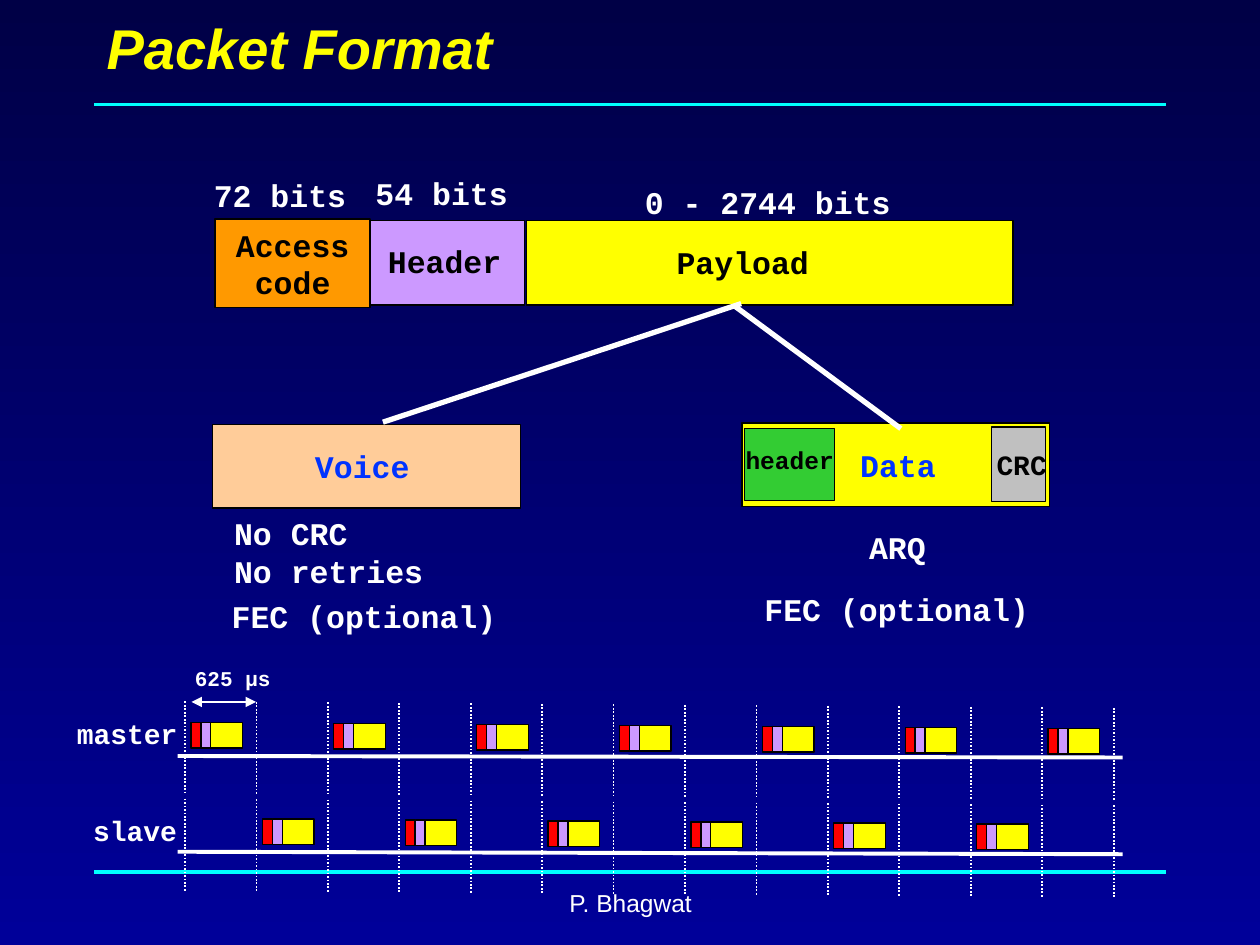
"""Builds the packet format slide: packet fields, payload types and slot timing."""
import pptx
import pptx.dml.color
import pptx.enum.dml
import pptx.enum.shapes
import pptx.enum.text
import pptx.oxml.ns
import pptx.util
from lxml import etree

Cm = pptx.util.Cm
Pt = pptx.util.Pt
RGB = pptx.dml.color.RGBColor.from_string
ALIGN = pptx.enum.text.PP_ALIGN
ANCHOR = pptx.enum.text.MSO_ANCHOR
DOT = pptx.enum.dml.MSO_LINE.ROUND_DOT
qn = pptx.oxml.ns.qn

COLORS = {
    "top": "000046", "bottom": "000099", "cyan": "00FFFF", "white": "FFFFFF",
    "black": "000000", "yellow": "FFFF00", "orange": "FF9900", "purple": "CC99FF",
    "red": "FF0000", "green": "33CC33", "gray": "C0C0C0", "peach": "FFCC99",
    "blue": "0033FF",
}


def box(parent, x, y, w, h, fill, weight=0.75):
    sp = parent.add_shape(pptx.enum.shapes.MSO_SHAPE.RECTANGLE, Cm(x), Cm(y), Cm(w), Cm(h))
    sp.shadow.inherit = False
    sp.fill.solid()
    sp.fill.fore_color.rgb = RGB(COLORS[fill])
    sp.line.color.rgb = RGB(COLORS["black"])
    sp.line.width = Pt(weight)
    return sp


def write(sp, lines, size, color, align=ALIGN.LEFT, anchor=ANCHOR.TOP,
          font="Courier New", bold=True, italic=False):
    tf = sp.text_frame
    tf.word_wrap = False
    tf.vertical_anchor = anchor
    for i, line in enumerate(lines):
        p = tf.add_paragraph() if i else tf.paragraphs[0]
        p.alignment = align
        r = p.add_run()
        r.text = line
        r.font.name = font
        r.font.size = Pt(size)
        r.font.bold = bold
        r.font.italic = italic
        r.font.color.rgb = RGB(COLORS[color])


prs = pptx.Presentation()
prs.slide_width, prs.slide_height = Cm(25.4), Cm(19.05)
s = prs.slides.add_slide(prs.slide_layouts[6])

fill = s.background.fill
fill.gradient()
fill.gradient_angle = 270
for stop, position, name in zip(fill.gradient_stops, (0, 1), ("top", "bottom")):
    stop.position = position
    stop.color.rgb = RGB(COLORS[name])

sp = s.shapes.add_textbox(Cm(1.9), Cm(0), Cm(21.6), Cm(1.9))
write(sp, ["Packet Format"], 32, "yellow", anchor=ANCHOR.MIDDLE, font="Arial", italic=True)

for x, y, w, h, name, weight in [
    (10.62, 4.45, 9.8, 1.7, "yellow", 0.75),
    (7.37, 4.45, 3.2, 1.7, "purple", 0.75),
    (14.96, 8.53, 6.2, 1.68, "yellow", 0.75),
    (15.01, 8.64, 1.8, 1.45, "green", 0.25),
    (19.99, 8.61, 1.09, 1.5, "gray", 1),
    (4.29, 8.56, 6.2, 1.68, "peach", 0.75),
]:
    box(s.shapes, x, y, w, h, name, weight)

sp = box(s.shapes, 4.34, 4.42, 3.12, 1.78, "orange", 1)
write(sp, ["Access", "code"], 18, "black", ALIGN.CENTER, ANCHOR.MIDDLE)

slots = [(i, round(3.73 + 1.44 * i, 2)) for i in range(14)]
lines = [
    (1.9, 2.11, 23.5, 2.11, "cyan", 2, None),
    (1.9, 17.58, 23.5, 17.58, "cyan", 2, None),
    (7.72, 8.51, 14.94, 6.12, "white", 3, None),
    (14.81, 6.17, 18.16, 8.64, "white", 3, None),
    (3.58, 15.24, 22.63, 15.27, "white", 2.25, None),
    (3.58, 17.17, 22.63, 17.22, "white", 2.25, None),
]
for top in (14.14, 16.1):
    for i, x in slots:
        y = top + 0.01 * i
        lines.append((x, y, x, y + 1.86, "white", 1, DOT))
lines.append((3.86, 14.15, 5.16, 14.15, "white", 1, None))

for x1, y1, x2, y2, name, weight, dash in lines:
    cn = s.shapes.add_connector(pptx.enum.shapes.MSO_CONNECTOR.STRAIGHT,
                                Cm(x1), Cm(y1), Cm(x2), Cm(y2))
    cn.line.color.rgb = RGB(COLORS[name])
    cn.line.width = Pt(weight)
    if dash:
        cn.line.dash_style = dash
    etree.SubElement(cn._element.spPr, qn("a:effectLst"))
for end in ("a:headEnd", "a:tailEnd"):
    etree.SubElement(cn.line._get_or_add_ln(), qn(end), type="triangle")

for i, x in slots[:13]:
    top = (14.57, 16.5)[i % 2] + 0.01 * i
    packet = s.shapes.add_group_shape()
    for dx, w, name in ((0.12, 0.2, "red"), (0.52, 0.64, "yellow"), (0.32, 0.2, "purple")):
        box(packet.shapes, x + dx, top, w, 0.51, name)

for x, y, w, h, text, size, name in [
    (4.06, 3.43, 3.18, 1.02, ["72 bits"], 18, "white"),
    (7.32, 3.38, 3.18, 1.02, ["54 bits"], 18, "white"),
    (12.75, 3.56, 5.46, 1.02, ["0 - 2744 bits"], 18, "white"),
    (7.57, 4.75, 2.79, 1.02, ["Header"], 18, "black"),
    (13.39, 4.78, 3.18, 1.02, ["Payload"], 18, "black"),
    (17.09, 8.86, 2.03, 1.02, ["Data"], 18, "blue"),
    (6.1, 8.89, 2.41, 1.02, ["Voice"], 18, "blue"),
    (19.84, 8.89, 1.52, 0.94, ["CRC"], 16, "black"),
    (14.78, 8.84, 2.29, 0.86, ["header"], 14, "black"),
    (4.47, 10.24, 4.32, 1.78, ["No CRC", "No retries"], 18, "white"),
    (4.42, 11.91, 5.84, 1.02, ["FEC (optional)"], 18, "white"),
    (17.27, 10.52, 1.65, 1.02, ["ARQ"], 18, "white"),
    (15.16, 11.76, 5.84, 1.02, ["FEC (optional)"], 18, "white"),
    (3.68, 13.3, 2.04, 0.76, ["625 µs"], 12, "white"),
    (1.3, 14.33, 2.54, 0.94, ["master"], 16, "white"),
    (1.63, 16.28, 2.54, 0.94, ["slave"], 16, "white"),
]:
    sp = s.shapes.add_textbox(Cm(x), Cm(y), Cm(w), Cm(h))
    write(sp, text, size, name)

sp = s.shapes.add_textbox(Cm(8.69), Cm(17.78), Cm(8.05), Cm(1.27))
write(sp, ["P. Bhagwat"], 14, "white", ALIGN.CENTER, font="Arial", bold=False)

prs.save("out.pptx")
